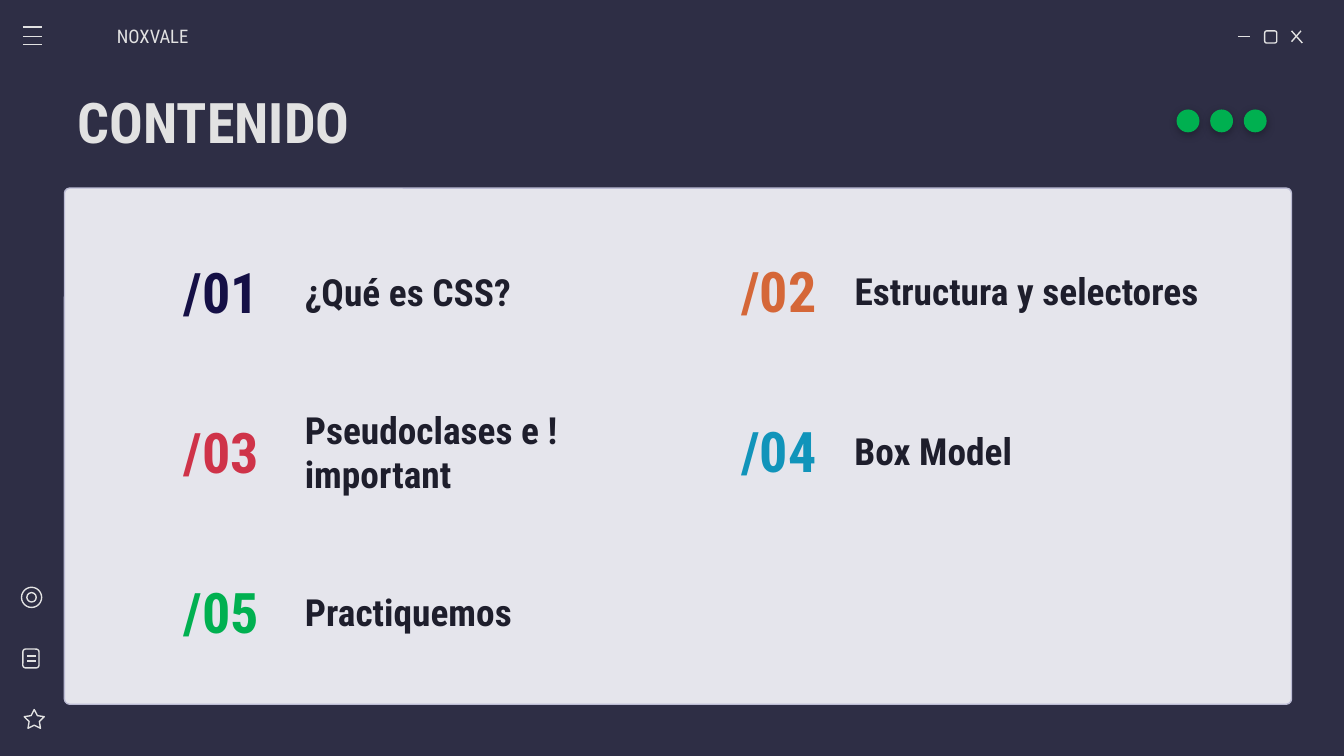
"""Builds the contents slide of a CSS course, framed like an app window."""
from lxml import etree
from pptx import Presentation
from pptx import util as u
from pptx.dml.color import RGBColor
from pptx.enum import shapes, text
from pptx.oxml.ns import qn

COLORS = {
    "background": "2E2E45", "panel": "E5E5EC", "border": "BCBCD4",
    "light": "E2E2E2", "dark": "1E1E2C", "navy": "151046",
    "orange": "D56738", "red": "CF3349", "blue": "1194BA",
    "green": "00B050", "black": "000000",
}
FONT = "Roboto Condensed"
KIND = shapes.MSO_SHAPE
TOPICS = [
    ("¿Qué es CSS?", "navy", 2.56),
    ("Estructura y selectores", "orange", 3.08),
    ("Pseudoclases e !important", "red", 2.56),
    ("Box Model", "blue", 2.56),
    ("Practiquemos", "green", 2.56),
]
WINDOW_LINES = [
    (9.21, 0.27, 9.3, 0.27), (9.61, 0.23, 9.69, 0.32), (9.68, 0.23, 9.61, 0.31),
]
NOTE_LINES = [(0.2, y, 0.27, y) for y in (4.88, 4.92)]
MENU_LINES = [(0.17, y, 0.31, y) for y in (0.2, 0.27, 0.33)]
ICONS = [
    (KIND.ROUNDED_RECTANGLE, (9.41, 0.23, 0.09, 0.09), 0.167),
    (KIND.OVAL, (0.16, 4.37, 0.15, 0.15), None),
    (KIND.OVAL, (0.2, 4.41, 0.07, 0.07), None),
    (KIND.ROUNDED_RECTANGLE, (0.17, 4.83, 0.12, 0.14), 0.167),
    (KIND.STAR_5_POINT, (0.18, 5.28, 0.15, 0.14), 0.254),
]


def color(name):
    return RGBColor.from_string(COLORS[name])


def apply(target, values):
    for name, value in values.items():
        setattr(target, name, value)


def stroke(line, name):
    line.color.rgb = color(name)
    line.width = u.Pt(0.75)


def add_figure(page, kind, area, line, fill=None, adjust=None):
    figure = page.shapes.add_shape(kind, *map(u.Inches, area))
    figure.shadow.inherit = False
    if adjust is not None:
        figure.adjustments[0] = adjust
    if fill:
        figure.fill.solid()
        figure.fill.fore_color.rgb = color(fill)
    else:
        figure.fill.background()
    stroke(figure.line, line)
    return figure


def add_line(page, ends):
    line = page.shapes.add_connector(
        shapes.MSO_CONNECTOR.STRAIGHT, *map(u.Inches, ends))
    stroke(line.line, "light")
    etree.SubElement(line._element.spPr, qn("a:effectLst"))


def add_dot(page, left):
    dot = add_figure(page, KIND.OVAL, (left, 0.82, 0.16, 0.16), "green", "green")
    effects = dot._element.spPr.find(qn("a:effectLst"))
    shadow = etree.SubElement(
        effects, qn("a:outerShdw"), blurRad=str(u.Pt(4.5)), dist=str(u.Pt(1.5)),
        dir="5400000", algn="bl", rotWithShape="0")
    tint = etree.SubElement(shadow, qn("a:srgbClr"), val=COLORS["black"])
    etree.SubElement(tint, qn("a:alpha"), val="30000")


def add_label(page, words, area, size, name, bold=True, centered=False, inset=0.1):
    box = page.shapes.add_textbox(*map(u.Inches, area))
    frame = box.text_frame
    apply(frame, {
        "word_wrap": True,
        "vertical_anchor": text.MSO_ANCHOR.MIDDLE,
        "margin_left": u.Inches(inset),
        "margin_right": u.Inches(0.1),
        "margin_top": u.Inches(0.1),
        "margin_bottom": u.Inches(0.1),
    })
    para = frame.paragraphs[0]
    para.alignment = text.PP_ALIGN.CENTER if centered else text.PP_ALIGN.LEFT
    span = para.add_run()
    span.text = words
    apply(span.font, {"name": FONT, "size": u.Pt(size), "bold": bold})
    span.font.color.rgb = color(name)


def add_topic(page, index, title, name, width):
    row, column = divmod(index, 2)
    top = 1.89 + 1.19 * row - 0.01 * column
    number_left, title_left = [(1.19, 2.17), (5.34, 6.26)][column]
    add_label(page, title, (title_left, top, width, 0.56), 20, "dark")
    add_label(page, f"/{index + 1:02}", (number_left, top, 0.91, 0.56), 30, name,
              centered=True)


def main():
    deck = Presentation()
    width = u.Inches(10)
    apply(deck, {"slide_width": width, "slide_height": width * 9 // 16})
    page = deck.slides.add_slide(deck.slide_layouts[6])
    page.background.fill.solid()
    page.background.fill.fore_color.rgb = color("background")

    add_figure(page, KIND.ROUNDED_RECTANGLE, (0.48, 1.4, 9.13, 3.84),
               "border", "panel", 0.01)
    for kind, area, adjust in ICONS:
        add_figure(page, kind, area, "light", adjust=adjust)
    for ends in WINDOW_LINES + NOTE_LINES + MENU_LINES:
        add_line(page, ends)
    for step in range(3):
        add_dot(page, 8.76 + 0.25 * step)

    add_label(page, "NOXVALE", (0.87, 0.12, 1.17, 0.3), 10, "light",
              bold=False, inset=0)
    add_label(page, "CONTENIDO", (0.48, 0.59, 9.13, 0.63), 30, "light")
    for index, topic in enumerate(TOPICS):
        add_topic(page, index, *topic)
    deck.save("out.pptx")


main()
